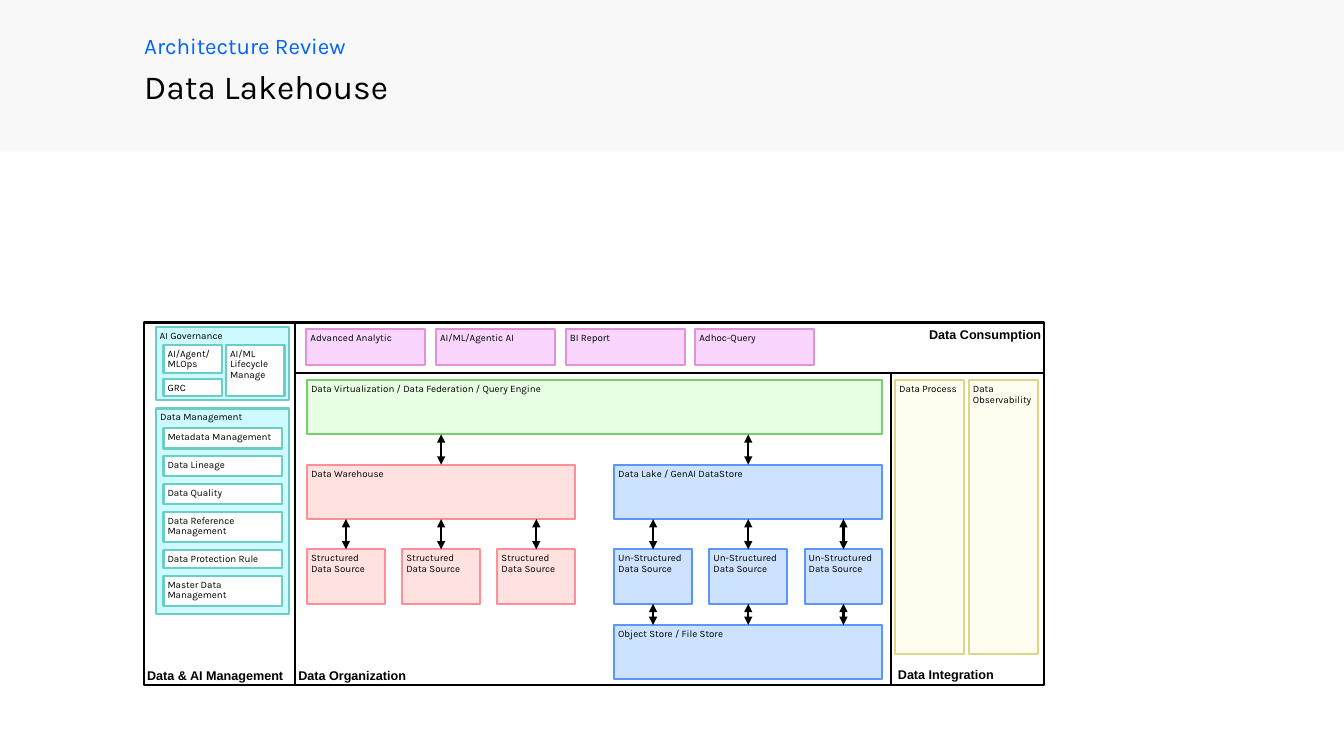
from pptx import Presentation
from pptx.dml import color
from pptx.enum import shapes, text
from pptx.oxml import parse_xml
from pptx.oxml import ns
from pptx.util import Pt

INK = "000000"
WHITE = "FFFFFF"
TEAL = ("CEFAFF", "69CFC5")
TEAL_ITEM = (WHITE, "69CFC5")
PINK = ("FAD6FF", "E292D8")
GREEN = ("E9FFE5", "76D06A")
RED = ("FFE2E0", "FF8E98")
BLUE = ("CDE2FF", "5B95FF")
YELLOW = ("FFFDEF", "DDD688")
BLOCK_HEIGHT = 38.9
INSETS = ("margin_left", "margin_top", "margin_right", "margin_bottom")


def rgb(value):
    return color.RGBColor.from_string(value)


def apply(target, values):
    for name, value in values.items():
        setattr(target, name, value)


def lengths(*values):
    return [Pt(value) for value in values]


def write(shape, words, size, ink=INK, face="Karla", inset=2.88, spacing=0.9, bold=False, **frame_format):
    frame = shape.text_frame
    values = {"word_wrap": True, "auto_size": text.MSO_AUTO_SIZE.NONE, "vertical_anchor": text.MSO_ANCHOR.TOP}
    values.update(dict.fromkeys(INSETS, Pt(inset)))
    apply(frame, values | frame_format)
    para = frame.paragraphs[0]
    apply(para, {"alignment": text.PP_ALIGN.LEFT, "line_spacing": spacing, "space_before": Pt(0)})
    para.text = words
    for span in para.runs:
        apply(span.font, {"size": Pt(size), "name": face, "bold": bold})
        span.font.color.rgb = rgb(ink)


def rectangle(page, box, fill=None, line=None):
    shape = page.shapes.add_shape(shapes.MSO_SHAPE.RECTANGLE, *lengths(*box))
    shape.shadow.inherit = False
    if fill:
        shape.fill.solid()
        shape.fill.fore_color.rgb = rgb(fill)
    else:
        shape.fill.background()
    if line:
        shape.line.color.rgb = rgb(line)
        shape.line.width = Pt(1.5)
    else:
        shape.line.fill.background()
    return shape


def block(page, box, words, colours, **frame_format):
    write(rectangle(page, box, *colours), words, 7, **frame_format)


def rule(page, start, end, arrow=False):
    line = page.shapes.add_connector(shapes.MSO_CONNECTOR.STRAIGHT, *lengths(*start, *end))
    line.line.color.rgb = rgb(INK)
    line.line.width = Pt(1.5)
    properties = line.element.spPr
    properties.append(parse_xml(f"<a:effectLst {ns.nsdecls('a')}/>"))
    if arrow:
        outline = properties.find(ns.qn("a:ln"))
        for end_name in ("headEnd", "tailEnd"):
            outline.append(parse_xml(f"<a:{end_name} {ns.nsdecls('a')} type='triangle'/>"))


def region_label(page, left, top, width, words):
    label = page.shapes.add_textbox(*lengths(left, top, width, 18))
    write(label, words, 9, face="Arial", spacing=1.0, bold=True, word_wrap=False,
          auto_size=text.MSO_AUTO_SIZE.SHAPE_TO_FIT_TEXT,
          margin_left=Pt(7.2), margin_right=Pt(7.2), margin_top=Pt(3.6), margin_bottom=Pt(3.6))


def heading(page, box):
    left, top, width, height = box
    title, kicker = page.shapes.title, page.placeholders[1]
    placements = ((title, (left, top + 27.4, width, 39)), (kicker, (left, top, 288, 22.3)))
    for shape, place in placements:
        apply(shape, dict(zip(("left", "top", "width", "height"), lengths(*place))))
    write(title, "Data Lakehouse", 24, inset=0)
    properties = kicker.text_frame.paragraphs[0]._p.get_or_add_pPr()
    for name in ("marL", "indent"):
        properties.set(name, "0")
    properties.append(parse_xml(f"<a:buNone {ns.nsdecls('a')}/>"))
    write(kicker, "Architecture Review", 16, ink="0062FF", inset=0, spacing=1.0)


def management(page, box):
    left, top, width, height = box
    item_left = left + 13.8
    block(page, (left + 8.2, top + 3, 95, 52.6), "AI Governance", TEAL)
    block(page, (item_left, top + 16, 41.8, 20.2), "AI/Agent/\nMLOps", TEAL_ITEM, margin_right=Pt(0))
    block(page, (item_left, top + 40.4, 41.8, 12.2), "GRC", TEAL_ITEM)
    block(page, (item_left + 44.6, top + 16, 41.8, 36.6), "AI/ML Lifecycle Manage", TEAL_ITEM)

    block(page, (left + 8.5, top + 61.4, 95, 146.9), "Data Management", TEAL)
    items = (
        ("Metadata Management", 14.4),
        ("Data Lineage", 14.4),
        ("Data Quality", 14.4),
        ("Data Reference Management", 21.6),
        ("Data Protection Rule", 13),
        ("Master Data Management", 21.6),
    )
    item_top = top + 75.6
    for words, item_height in items:
        block(page, (item_left, item_top, 84.7, item_height), words, TEAL_ITEM)
        item_top += item_height + 5.5
    region_label(page, left - 5, top + height - 16, 113, "Data & AI Management")


def consumption(page, box):
    left, top, width, height = box
    for index, words in enumerate(("Advanced Analytic", "AI/ML/Agentic AI", "BI Report", "Adhoc-Query")):
        block(page, (left + 7.9 + index * 92.6, top + 4.4, 85, 26), words, PINK)
    region_label(page, left + width - 89.4, top - 0.8, 95, "Data Consumption")


def organization(page, box):
    left, top, width, height = box
    engine_left, engine_width, store_width, source_width = left + 8.3, 411, 191.6, 55.6
    engine_top, store_top, source_top, object_top = (top + offset for offset in (5, 65.5, 126, 180))
    lake_left = engine_left + engine_width - store_width
    block(page, (engine_left, engine_top, engine_width, BLOCK_HEIGHT),
          "Data Virtualization / Data Federation / Query Engine", GREEN)
    block(page, (lake_left, object_top, store_width, BLOCK_HEIGHT), "Object Store / File Store", BLUE)

    stores = (
        (engine_left, "Data Warehouse", "Structured Data Source", RED, False),
        (lake_left, "Data Lake / GenAI DataStore", "Un-Structured Data Source", BLUE, True),
    )
    for store_left, store, source, colours, has_objects in stores:
        block(page, (store_left, store_top, store_width, BLOCK_HEIGHT), store, colours)
        middle = store_left + store_width / 2
        rule(page, (middle, engine_top + BLOCK_HEIGHT), (middle, store_top), arrow=True)
        for index in range(3):
            source_left = store_left + index * (store_width - source_width) / 2
            block(page, (source_left, source_top, source_width, BLOCK_HEIGHT), source, colours)
            middle = source_left + source_width / 2
            rule(page, (middle, store_top + BLOCK_HEIGHT), (middle, source_top), arrow=True)
            if has_objects:
                rule(page, (middle, source_top + BLOCK_HEIGHT), (middle, object_top), arrow=True)
    region_label(page, left - 5, top + height - 16, 92, "Data Organization")


def integration(page, box):
    left, top, width, height = box
    for index, words in enumerate(("Data Process", "Data Observability")):
        block(page, (left + 2.9 + index * 52.6, top + 5, 49.4, 195.8), words, YELLOW)
    region_label(page, left - 2.2, top + height - 16.6, 83.5, "Data Integration")


def architecture(page, box):
    left, top, width, height = box
    management_width, integration_width, consumption_height = 108, 109.5, 36
    organization_left = left + management_width
    integration_left = left + width - integration_width
    lower_top, right, bottom = top + consumption_height, left + width, top + height
    lower_height = height - consumption_height
    management(page, (left, top, management_width, height))
    consumption(page, (organization_left, top, width - management_width, consumption_height))
    organization(page, (organization_left, lower_top, integration_left - organization_left, lower_height))
    integration(page, (integration_left, lower_top, integration_width, lower_height))
    rectangle(page, box, line=INK)
    rule(page, (organization_left, top), (organization_left, bottom))
    rule(page, (organization_left, lower_top), (right, lower_top))
    rule(page, (integration_left, lower_top), (integration_left, bottom))


def main():
    deck = Presentation()
    apply(deck, {"slide_width": Pt(960), "slide_height": Pt(540)})
    page = deck.slides.add_slide(deck.slide_layouts[1])
    page.background.fill.solid()
    page.background.fill.fore_color.rgb = rgb("F8F8F8")
    rectangle(page, (0, 107.5, 960, 432.5), WHITE)
    heading(page, (103, 23, 787, 66.4))
    architecture(page, (103, 230.4, 643, 259.2))
    deck.save("out.pptx")


if __name__ == "__main__":
    main()
